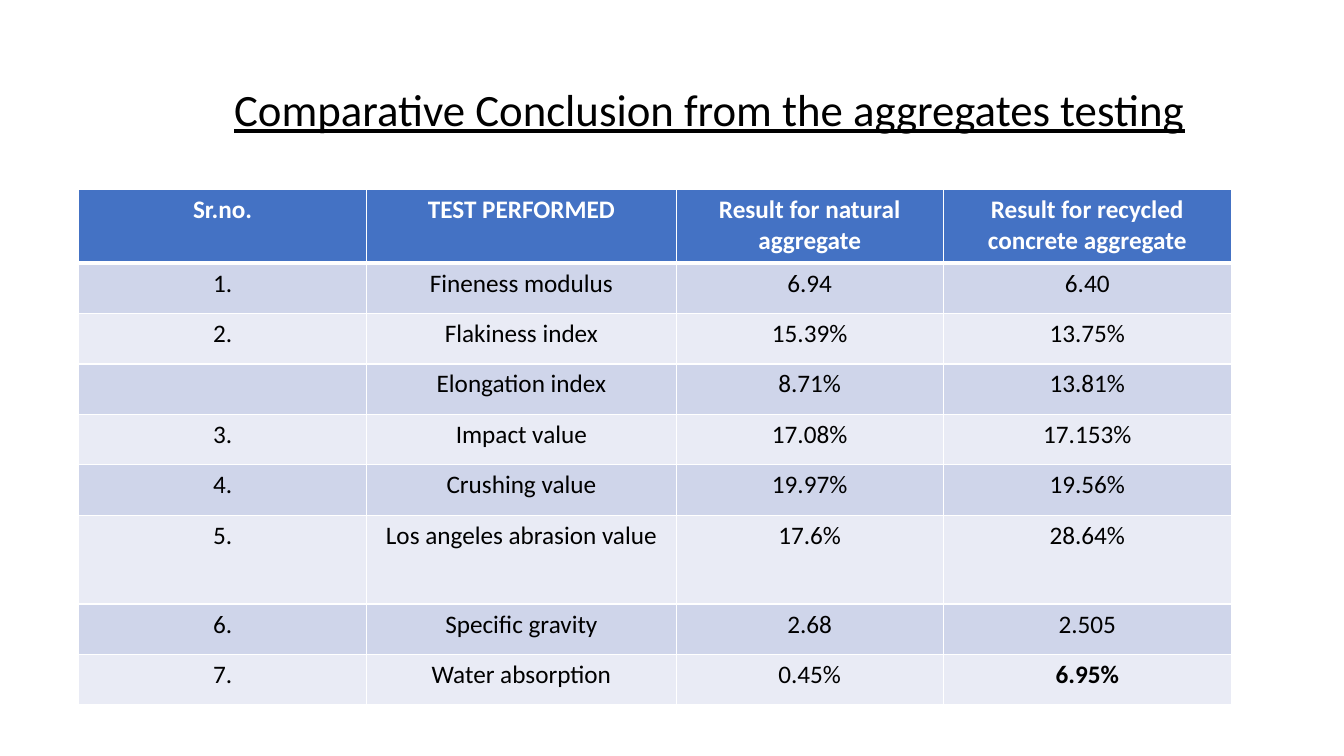
from dataclasses import dataclass

import pptx
import pptx.dml.color
import pptx.enum.text
import pptx.oxml.ns
import pptx.util
from lxml import etree

Cm = pptx.util.Cm
Pt = pptx.util.Pt
RGBColor = pptx.dml.color.RGBColor

BLACK = RGBColor(0x00, 0x00, 0x00)
WHITE = RGBColor(0xFF, 0xFF, 0xFF)
HEADER_BLUE = RGBColor(0x44, 0x72, 0xC4)
BAND_DARK = RGBColor(0xCF, 0xD5, 0xEA)
BAND_LIGHT = RGBColor(0xE9, 0xEB, 0xF5)
FONT = "Calibri"
CENTER = pptx.enum.text.PP_ALIGN.CENTER


@dataclass
class TestRow:
    number: str
    test: str
    natural: str
    recycled: str
    height: float = 1.27
    recycled_bold: bool = False


HEADER = TestRow("Sr.no.", "TEST PERFORMED", "Result for natural aggregate",
                 "Result for recycled concrete aggregate", height=1.85)
RESULTS = [
    TestRow("1.", "Fineness modulus", "6.94", "6.40"),
    TestRow("2.", "Flakiness index", "15.39%", "13.75%"),
    TestRow("", "Elongation index", "8.71%", "13.81%"),
    TestRow("3.", "Impact value", "17.08%", "17.153%"),
    TestRow("4.", "Crushing value", "19.97%", "19.56%"),
    TestRow("5.", "Los angeles abrasion value", "17.6%", "28.64%", height=2.24),
    TestRow("6.", "Specific gravity", "2.68", "2.505"),
    TestRow("7.", "Water absorption", "0.45%", "6.95%", recycled_bold=True),
]
COLUMN_WIDTHS = [7.26, 7.8, 6.73, 7.26]


def add_run(p, text: str, size: float, color: RGBColor, bold: bool = False):
    r = p.add_run()
    r.text = text
    r.font.name = FONT
    r.font.size = Pt(size)
    r.font.bold = bold
    r.font.color.rgb = color
    return r


def set_borders(cell, bottom: float, top: float) -> None:
    """Add white borders, with widths in points, ahead of the cell's fill."""
    tc_pr = cell._tc.get_or_add_tcPr()
    qn = pptx.oxml.ns.qn
    sides = [("a:lnL", 1), ("a:lnR", 1), ("a:lnT", top), ("a:lnB", bottom)]
    for i, (tag, width) in enumerate(sides):
        ln = etree.Element(qn(tag), w=str(Pt(width)))
        fill = etree.SubElement(ln, qn("a:solidFill"))
        etree.SubElement(fill, qn("a:srgbClr"), val=str(WHITE))
        tc_pr.insert(i, ln)


def add_title(s) -> None:
    title = s.shapes.title
    title.left, title.top, title.width, title.height = Cm(5.18), Cm(2.03), Cm(25.4), Cm(1.8)
    tf = title.text_frame
    tf.word_wrap = True
    tf.vertical_anchor = pptx.enum.text.MSO_ANCHOR.TOP
    tf.margin_top = Cm(0.19)
    p = tf.paragraphs[0]
    p.alignment = CENTER
    p.line_spacing = 0.9
    r = add_run(p, "Comparative Conclusion from the aggregates testing", 32, BLACK)
    r.font.underline = True


def add_results_table(s) -> None:
    rows = [HEADER, *RESULTS]
    table = s.shapes.add_table(len(rows), len(COLUMN_WIDTHS), Cm(1.98), Cm(4.78),
                               Cm(sum(COLUMN_WIDTHS)),
                               Cm(sum(row.height for row in rows))).table
    for column, width in zip(table.columns, COLUMN_WIDTHS):
        column.width = Cm(width)
    for i, row in enumerate(rows):
        table.rows[i].height = Cm(row.height)
        is_header = i == 0
        band = HEADER_BLUE if is_header else BAND_DARK if i % 2 else BAND_LIGHT
        texts = [row.number, row.test, row.natural, row.recycled]
        for j, text in enumerate(texts):
            cell = table.cell(i, j)
            cell.fill.solid()
            cell.fill.fore_color.rgb = band
            set_borders(cell, bottom=3 if is_header else 1, top=3 if i == 1 else 1)
            p = cell.text_frame.paragraphs[0]
            p.alignment = CENTER
            if text:
                bold = is_header or (row.recycled_bold and j == 3)
                add_run(p, text, 18, WHITE if is_header else BLACK, bold)


def main() -> None:
    prs = pptx.Presentation()
    prs.slide_width, prs.slide_height = Cm(33.87), Cm(19.05)
    s = prs.slides.add_slide(prs.slide_layouts[5])
    add_title(s)
    add_results_table(s)
    prs.save("out.pptx")


if __name__ == "__main__":
    main()
